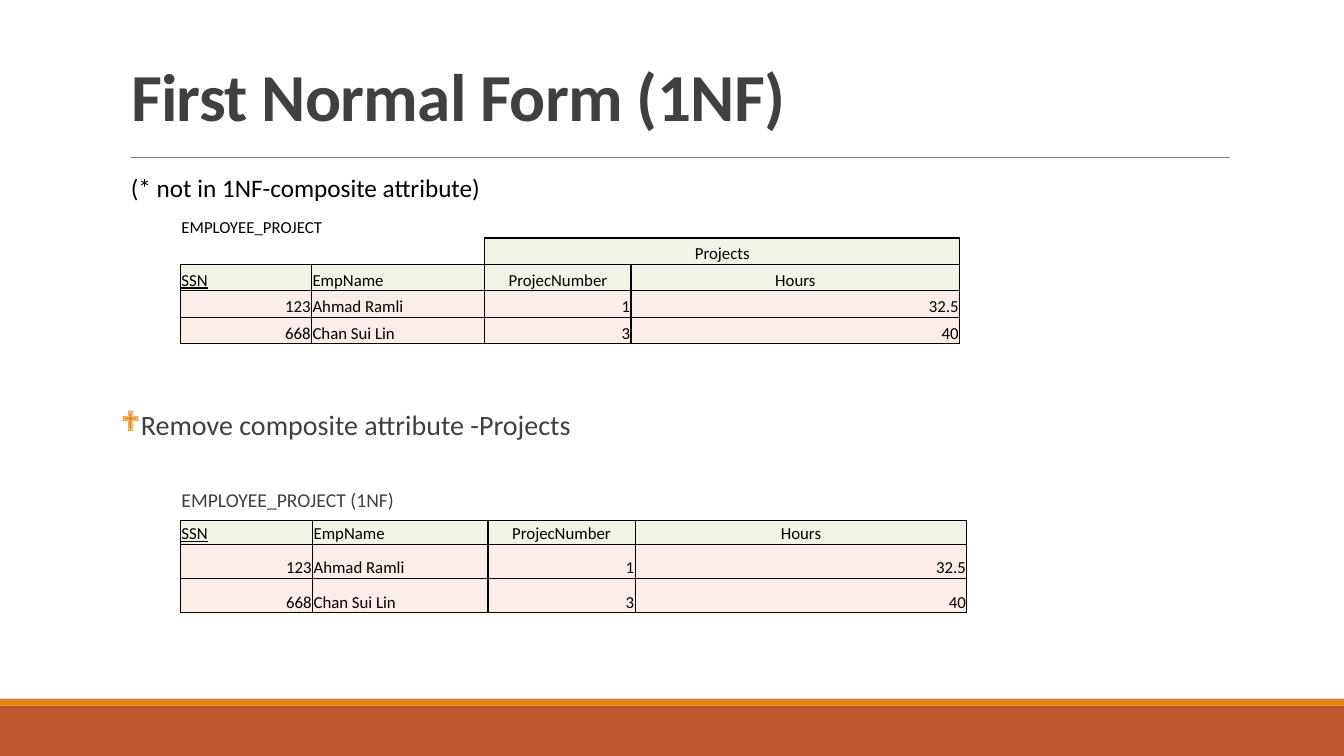
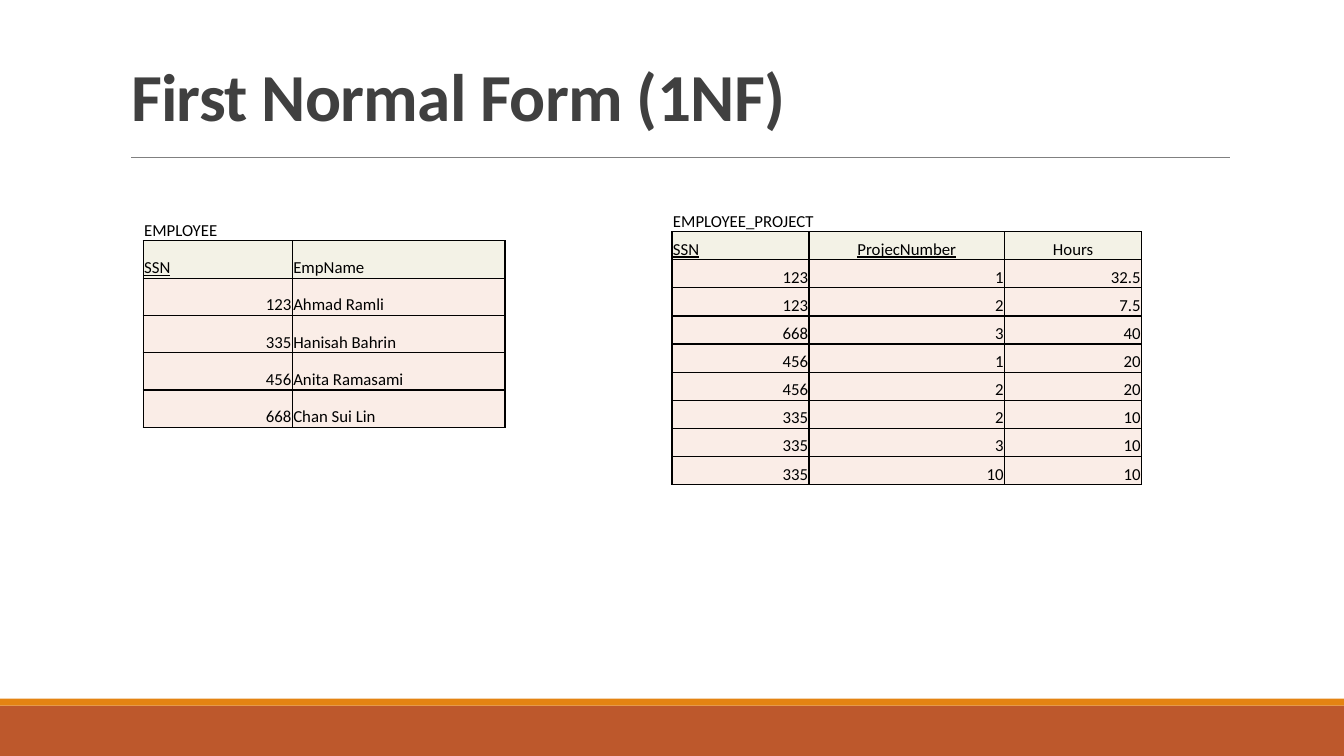
import pptx
import pptx.dml.color
import pptx.enum.shapes
import pptx.enum.text
import pptx.oxml.ns
import pptx.util
from lxml import etree

RGB = pptx.dml.color.RGBColor
Pt = pptx.util.Pt
Inches = pptx.util.Inches
qn = pptx.oxml.ns.qn
ALIGN = pptx.enum.text.PP_ALIGN
ANCHOR = pptx.enum.text.MSO_ANCHOR

RUST = RGB(0xBD, 0x58, 0x2C)
ORANGE = RGB(0xE4, 0x83, 0x12)
GREY = RGB(0x80, 0x80, 0x80)
DARK = RGB(0x40, 0x40, 0x40)
BLACK = RGB(0, 0, 0)
WHITE = RGB(0xFF, 0xFF, 0xFF)
HEADER = RGB(0xF3, 0xF2, 0xE6)
DATA = RGB(0xFA, 0xED, 0xE7)

FONT = "Calibri"
TITLE_AND_BODY, TITLE_ONLY = 1, 5
LEFT_HEADERS = {"SSN", "EmpName"}
# Edge tag -> step (row, column) to the neighbouring cell
EDGES = {"a:lnL": (0, -1), "a:lnR": (0, 1), "a:lnT": (-1, 0), "a:lnB": (1, 0)}


def add_xml(parent, tag, **attrs):
    return etree.SubElement(parent, qn(tag), attrs)


class Deck:
    """Style and current slide; lengths are percent of the slide's size."""

    def __init__(self):
        self.prs = pptx.Presentation()
        self.prs.slide_width = Inches(13.33)
        self.prs.slide_height = Inches(7.5)
        self.slide = None

    def x(self, share):
        return round(self.prs.slide_width * share / 100)

    def y(self, share):
        return round(self.prs.slide_height * share / 100)

    def box(self, left, top, width, height):
        return self.x(left), self.y(top), self.x(width), self.y(height)

    def place(self, sp, *box):
        sp.left, sp.top, sp.width, sp.height = self.box(*box)

    def new_slide(self, layout, title):
        self.slide = self.prs.slides.add_slide(self.prs.slide_layouts[layout])
        if len(self.prs.slides) == 1:
            self.decorate_master()
        sp = self.slide.shapes.title
        self.place(sp, 9, 4.13, 82.5, 14.4)
        tf = sp.text_frame
        tf.auto_size = pptx.enum.text.MSO_AUTO_SIZE.NONE
        tf.vertical_anchor = ANCHOR.BOTTOM
        p = tf.paragraphs[0]
        p.alignment = ALIGN.LEFT
        p.line_spacing = 0.85
        r = self.run(p, title, 48, DARK, bold=True)
        r.font._element.set("spc", "-50")

    def decorate_master(self):
        """Draw the bands and the title rule, then move them to the master."""
        parts = [self.band(93.33, 6.67, RUST), self.band(92.4, 0.93, ORANGE),
                 self.rule(9.75, 91.5, 20.8)]
        tree = self.prs.slide_master.shapes.element
        for i, sp in enumerate(parts):
            sp.element.xpath(".//p:cNvPr")[0].set("id", str(101 + i))
            tree.insert(2 + i, sp.element)

    def band(self, top, height, color):
        sp = self.slide.shapes.add_shape(
            pptx.enum.shapes.MSO_SHAPE.RECTANGLE, *self.box(0, top, 100, height))
        sp.shadow.inherit = False
        sp.fill.solid()
        sp.fill.fore_color.rgb = color
        sp.line.fill.background()
        return sp

    def rule(self, start, end, top):
        sp = self.slide.shapes.add_connector(
            pptx.enum.shapes.MSO_CONNECTOR.STRAIGHT,
            self.x(start), self.y(top), self.x(end), self.y(top))
        sp.line.color.rgb = GREY
        sp.line.width = Pt(0.5)
        add_xml(sp.element.spPr, "a:effectLst")
        return sp

    def run(self, p, text, size, color, bold=None, underline=None):
        r = p.add_run()
        r.text = text
        r.font.name, r.font.size = FONT, Pt(size)
        r.font.color.rgb = color
        r.font.bold, r.font.underline = bold, underline
        return r

    def note(self, text, *box):
        sp = self.slide.shapes.add_textbox(*self.box(*box))
        sp.text_frame.word_wrap = True
        self.run(sp.text_frame.paragraphs[0], text, 18, BLACK)

    def body(self, point, caption, *box):
        """A bulleted point, with an indented table caption below it."""
        sp = self.slide.placeholders[1]
        self.place(sp, *box)
        tf = sp.text_frame
        tf.auto_size = pptx.enum.text.MSO_AUTO_SIZE.NONE
        tf.margin_left = tf.margin_right = 0
        p = tf.paragraphs[0]
        pPr = self.body_text(p, point, 20, 0, 2, 0.1, -0.1)
        add_xml(add_xml(pPr, "a:buClr"), "a:srgbClr", val=str(ORANGE))
        add_xml(pPr, "a:buFont", typeface="Wingdings")
        add_xml(pPr, "a:buChar", char="❖")
        p = tf.add_paragraph()
        p.level = 1
        pPr = self.body_text(p, caption, 14, 32.5, 4, 0.6, 0)
        add_xml(pPr, "a:buNone")

    def body_text(self, p, text, size, before, after, margin, indent):
        p.line_spacing = 0.9
        p.space_before, p.space_after = Pt(before), Pt(after)
        self.run(p, text, size, DARK)
        pPr = p._p.get_or_add_pPr()
        pPr.set("marL", str(Inches(margin)))
        pPr.set("indent", str(Inches(indent)))
        return pPr

    def table(self, left, top, cols, rows, cells, captions=0, headers=1,
              keys=("SSN",)):
        """Caption rows, header rows, then data; None extends the cell to its left."""
        frame = self.slide.shapes.add_table(
            len(rows), len(cols), *self.box(left, top, sum(cols), sum(rows)))
        tbl = frame.table
        tbl.first_row = tbl.horz_banding = False
        for col, width in zip(tbl.columns, cols):
            col.width = self.x(width)
        for row, height in zip(tbl.rows, rows):
            row.height = self.y(height)

        def fill_of(i, j):
            inside = captions <= i < len(rows) and 0 <= j < len(cols)
            if not inside or cells[i][j] == "":
                return None
            return HEADER if i < captions + headers else DATA

        for i, texts in enumerate(cells):
            for j, text in enumerate(texts):
                cell, fill = tbl.cell(i, j), fill_of(i, j)
                for tag, (di, dj) in EDGES.items():
                    inked = fill or fill_of(i + di, j + dj)
                    self.border(cell, tag, BLACK if inked else WHITE)
                self.fill_cell(cell, text, fill, text in keys)
                if text is None:
                    tbl.cell(i, j - 1).merge(cell)

    def border(self, cell, tag, color):
        ln = add_xml(cell._tc.get_or_add_tcPr(), tag, w=str(Pt(1)))
        add_xml(add_xml(ln, "a:solidFill"), "a:srgbClr", val=str(color))

    def fill_cell(self, cell, text, fill, underline):
        cell.margin_left = cell.margin_right = cell.margin_top = Inches(0.01)
        cell.margin_bottom = 0
        cell.vertical_anchor = ANCHOR.BOTTOM
        if fill:
            cell.fill.solid()
            cell.fill.fore_color.rgb = fill
        else:
            cell.fill.background()
        p = cell.text_frame.paragraphs[0]
        if not text:
            add_xml(p._p, "a:endParaRPr", sz="1200")
            return
        if fill == HEADER and text not in LEFT_HEADERS:
            p.alignment = ALIGN.CENTER
        elif text[0].isdigit():
            p.alignment = ALIGN.RIGHT
        self.run(p, text, 12, BLACK, underline=underline)


def composite_slide(deck):
    deck.new_slide(TITLE_AND_BODY, "First Normal Form (1NF)")
    deck.body("Remove composite attribute -Projects", "EMPLOYEE_PROJECT (1NF)",
              9, 53.8, 82.5, 31.8)
    records = [["SSN", "EmpName", "ProjecNumber", "Hours"],
               ["123", "Ahmad Ramli", "1", "32.5"],
               ["668", "Chan Sui Lin", "3", "40"]]
    grouped = [["EMPLOYEE_PROJECT", None, "", ""],
               ["", "", "Projects", None]] + records
    deck.table(13.43, 27.6, [9.75, 12.9, 10.88, 24.45], [3.87] + [3.5] * 4,
               grouped, captions=1, headers=2)
    deck.table(13.43, 68.8, [9.83, 13.05, 10.95, 24.68], [3.2] + [4.53] * 2,
               records)
    deck.note("(* not in 1NF-composite attribute)", 9, 22.13, 50, 5.33)


def split_slide(deck):
    deck.new_slide(TITLE_ONLY, "First Normal Form (1NF)")
    employees = [["EMPLOYEE", ""],
                 ["SSN", "EmpName"],
                 ["123", "Ahmad Ramli"],
                 ["335", "Hanisah Bahrin"],
                 ["456", "Anita Ramasami"],
                 ["668", "Chan Sui Lin"]]
    projects = [["EMPLOYEE_PROJECT", None, ""],
                ["SSN", "ProjecNumber", "Hours"],
                ["123", "1", "32.5"],
                ["123", "2", "7.5"],
                ["668", "3", "40"],
                ["456", "1", "20"],
                ["456", "2", "20"],
                ["335", "2", "10"],
                ["335", "3", "10"],
                ["335", "10", "10"]]
    deck.table(10.65, 26.93, [11.1, 15.83], [4.93] * len(employees),
               employees, captions=1)
    deck.table(50, 26.93, [10.2, 14.55, 10.2], [3.72] * len(projects),
               projects, captions=1, keys=("SSN", "ProjecNumber"))


def main():
    deck = Deck()
    composite_slide(deck)
    split_slide(deck)
    deck.prs.save("out.pptx")


if __name__ == "__main__":
    main()
